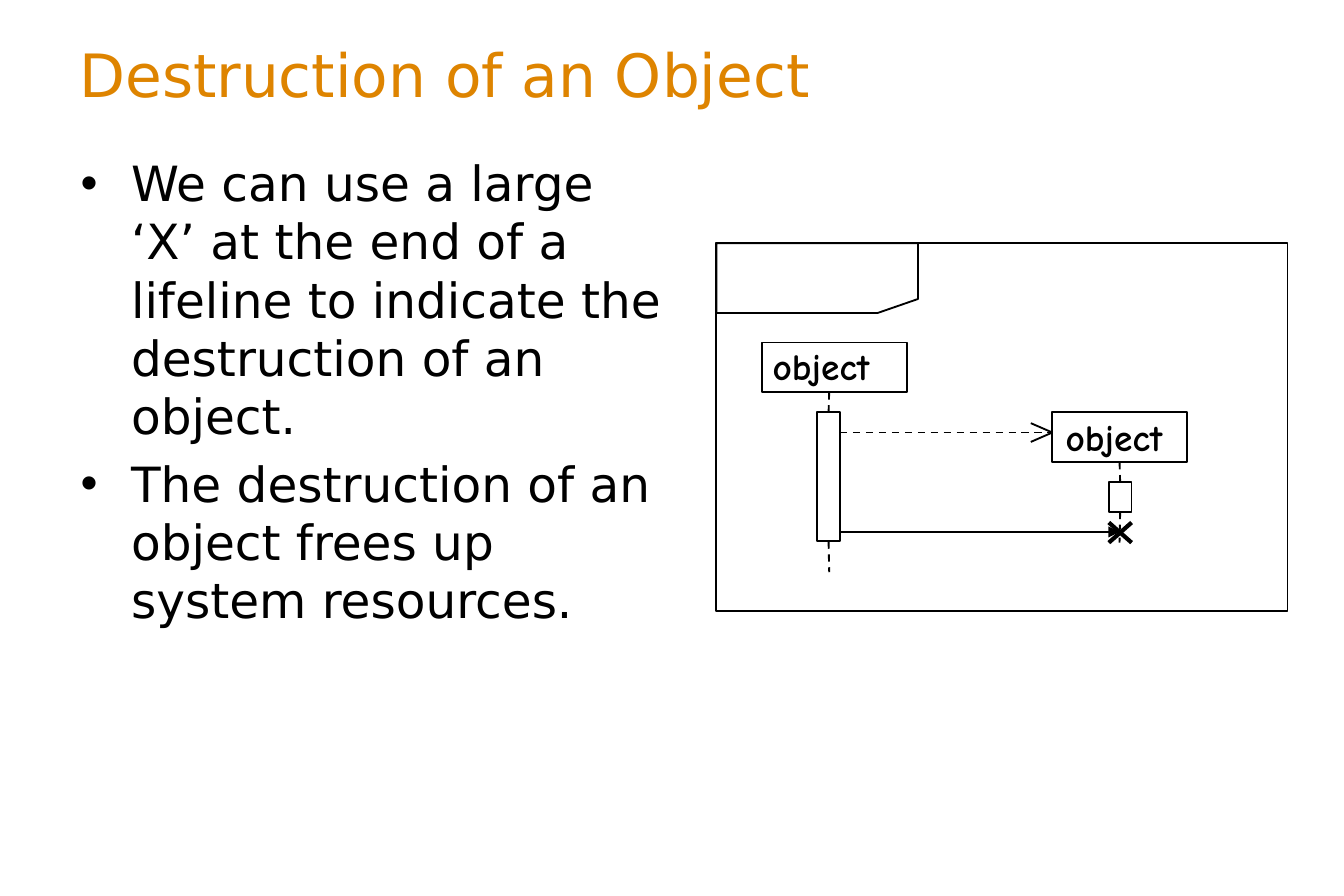
from lxml.etree import SubElement
from pptx import Presentation
from pptx.dml.color import RGBColor
from pptx.enum.dml import MSO_LINE_DASH_STYLE as Dash
from pptx.enum.shapes import MSO_CONNECTOR, MSO_SHAPE as Geometry
from pptx.enum.text import MSO_ANCHOR as Anchor, MSO_AUTO_SIZE as AutoSize, PP_ALIGN as Align
from pptx.oxml.ns import qn
from pptx.util import Inches, Pt

color = RGBColor.from_string
BLACK, ORANGE = "000000", "DE8400"


def write_text(shape, *lines, font="DejaVu Sans", size=26, hex_color=BLACK, bold=False,
               anchor=Anchor.TOP, wrap=True, auto_size=AutoSize.NONE, line_spacing=None):
    """Fill a shape with one formatted paragraph per line."""
    frame = shape.text_frame
    frame.text = "\n".join(lines)
    frame.word_wrap, frame.auto_size, frame.vertical_anchor = wrap, auto_size, anchor
    for paragraph in frame.paragraphs:
        paragraph.alignment = Align.LEFT
        paragraph.line_spacing = line_spacing
        run_font = paragraph.runs[0].font
        run_font.name, run_font.size, run_font.bold = font, Pt(size), bold
        run_font.color.rgb = color(hex_color)


def add_line(x1, y1, x2, y2, width=1, dashed=False, arrow=False):
    line = slide.shapes.add_connector(
        MSO_CONNECTOR.STRAIGHT, Inches(x1), Inches(y1), Inches(x2), Inches(y2))
    line.line.width = Pt(width)
    line.line.color.rgb = color(BLACK)
    if dashed:
        line.line.dash_style = Dash.DASH
    if arrow:
        SubElement(line.line._get_or_add_ln(), qn("a:tailEnd"), type="triangle")
    SubElement(line._element.spPr, qn("a:effectLst"))
    return line


presentation = Presentation()
presentation.slide_width, presentation.slide_height = Inches(10), Inches(6.67)
slide = presentation.slides.add_slide(presentation.slide_layouts[1])

# Title and bullet list
title, body = slide.shapes.title, slide.placeholders[1]
for placeholder, box in ((title, (0.49, 0.24, 8.25, 0.61)), (body, (0.5, 1.09, 4.53, 4.87))):
    placeholder.left, placeholder.top, placeholder.width, placeholder.height = map(Inches, box)
write_text(title, "Destruction of an Object", size=32, hex_color=ORANGE, anchor=Anchor.MIDDLE)
write_text(
    body,
    "We can use a large ‘X’ at the end of a lifeline to indicate the destruction of an object.",
    "The destruction of an object frees up system resources.",
)

# Frame, its name tab, object boxes and activation bars
outlines = []
for geometry, box in (
    (Geometry.RECTANGLE, (5.33, 1.81, 4.25, 2.74)),
    (Geometry.FLOWCHART_CARD, (5.33, 1.81, 1.5, 0.52)),
    (Geometry.RECTANGLE, (5.67, 2.55, 1.08, 0.37)),
    (Geometry.RECTANGLE, (7.83, 3.07, 1, 0.37)),
    (Geometry.RECTANGLE, (6.08, 3.07, 0.17, 0.96)),
    (Geometry.RECTANGLE, (8.25, 3.59, 0.17, 0.22)),
):
    shape = slide.shapes.add_shape(geometry, *map(Inches, box))
    shape.shadow.inherit = False
    shape.fill.background()
    shape.line.color.rgb = color(BLACK)
    shape.line.width = Pt(1)
    outlines.append(shape)
frame_box, frame_tab, sender, receiver, sender_bar, receiver_bar = outlines
frame_tab.rotation = 180

for left, top in ((5.65, 2.54), (7.83, 3.07)):
    label = slide.shapes.add_textbox(Inches(left), Inches(top), Inches(1.06), Inches(0.41))
    write_text(label, "object", font="Comic Neue", size=20, bold=True, wrap=False,
               auto_size=AutoSize.SHAPE_TO_FIT_TEXT, line_spacing=0.9)

# Lifelines, joined to the boxes they meet
sender_x, receiver_x = 6.17, 8.33
add_line(sender_x, 2.92, sender_x, 3.07, dashed=True).end_connect(sender_bar, 0)
add_line(sender_x, 4.03, sender_x, 4.26, dashed=True).begin_connect(sender_bar, 2)
receiver_line = add_line(receiver_x, 3.44, receiver_x, 3.59, dashed=True)
receiver_line.begin_connect(receiver, 2)
receiver_line.end_connect(receiver_bar, 0)
add_line(receiver_x, 3.81, receiver_x, 4.04, dashed=True).begin_connect(receiver_bar, 2)

# Creation message with an open arrowhead, then the destroy message
add_line(6.25, 3.22, 7.83, 3.22, dashed=True)
for barb_y in (3.15, 3.29):
    add_line(7.83, 3.22, 7.67, barb_y)
add_line(6.25, 3.96, receiver_x, 3.96, arrow=True)

# Destruction cross
for start_x, end_x in ((8.25, 8.42), (8.42, 8.25)):
    add_line(start_x, 3.89, end_x, 4.04, width=2.25)

presentation.save("out.pptx")
